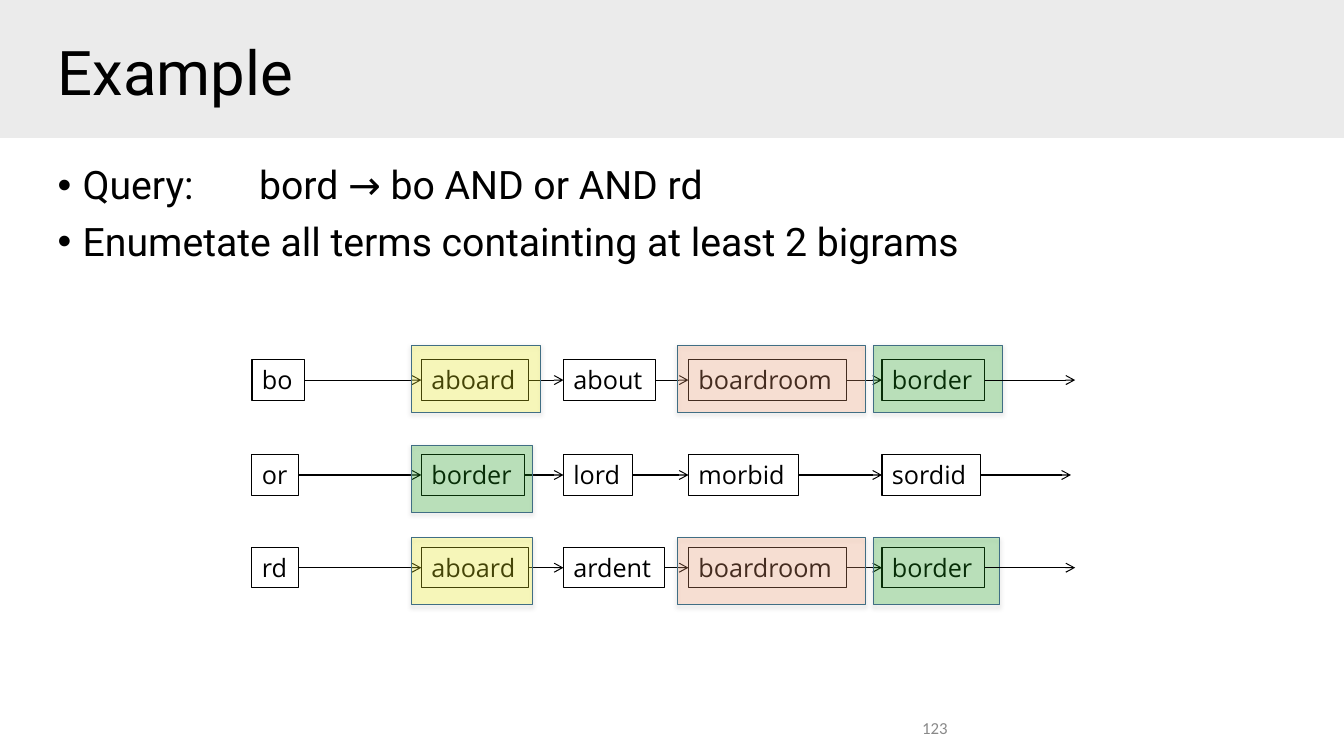
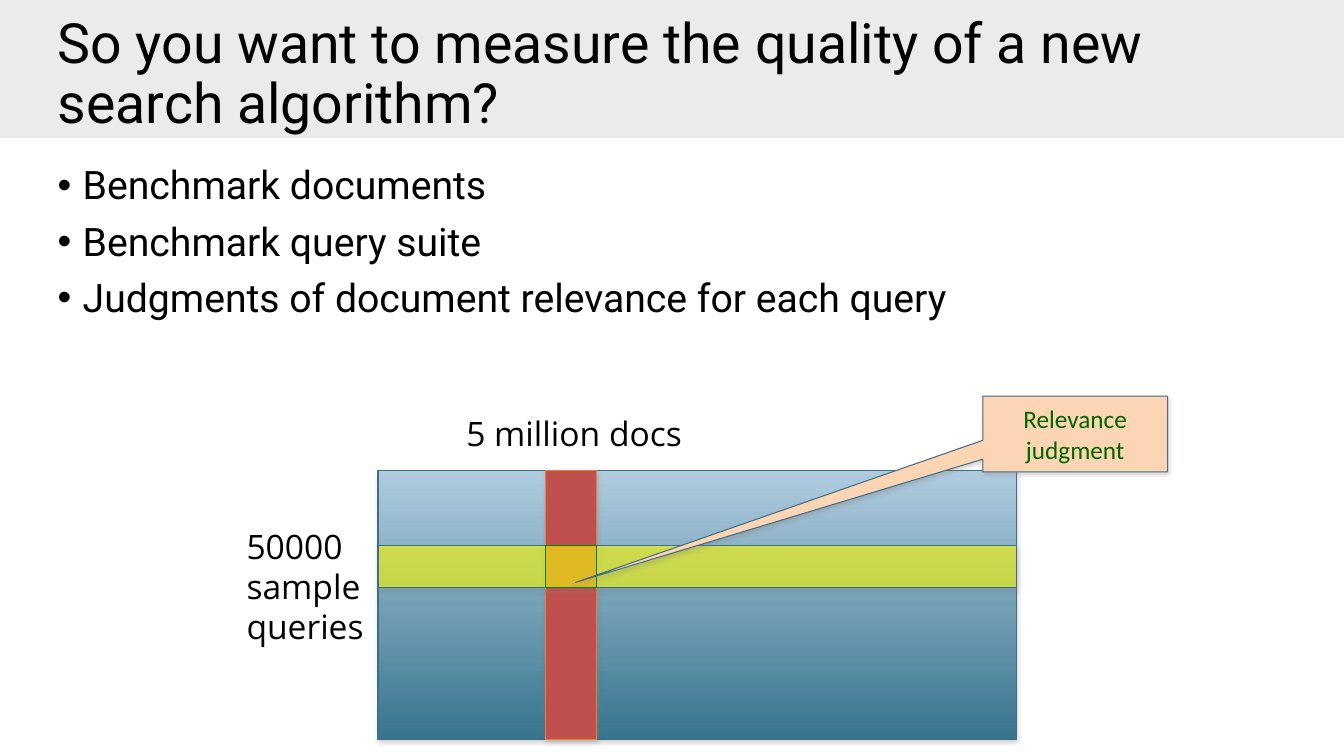
from lxml import etree
from pptx import Presentation
from pptx.dml.color import RGBColor
from pptx.enum.shapes import MSO_CONNECTOR, MSO_SHAPE
from pptx.enum.text import MSO_ANCHOR, MSO_AUTO_SIZE, PP_ALIGN
from pptx.oxml.ns import qn
from pptx.util import Pt

RECTANGLE = MSO_SHAPE.RECTANGLE
CALLOUT = MSO_SHAPE.RECTANGULAR_CALLOUT
STRAIGHT = MSO_CONNECTOR.STRAIGHT
TOP, MIDDLE = MSO_ANCHOR.TOP, MSO_ANCHOR.MIDDLE
LEFT, CENTER, RIGHT = PP_ALIGN.LEFT, PP_ALIGN.CENTER, PP_ALIGN.RIGHT

COLOURS = {
    "black": "000000", "band": "A6A6A6", "number": "898989", "outline": "406E84",
    "shadow": "808080", "yellow": "FFFF00", "salmon": "FF9966", "green": "00A000",
    "sky": "AFCCDF", "sea": "39748F", "red": "C0504D", "orange": "ED7D31",
    "cell": "008000", "peach": "FCD5B5", "judgment": "006600",
}
HEADING, LABEL, PLAIN = "Roboto", "Open Sans", "Calibri"
SLIDE_WIDTH, SLIDE_HEIGHT = 960, 540

EXAMPLE_BULLETS = ["Query:\tbord → bo AND or AND rd",
                   "Enumetate all terms containting at least 2 bigrams"]
QUALITY_BULLETS = ["Benchmark documents", "Benchmark query suite",
                   "Judgments of document relevance for each query"]

COLUMN_LEFTS = [180, 301, 402.5, 491.8, 630]
TERM_WIDTHS = {"bo": 37.5, "or": 33.5, "rd": 33.5, "aboard": 76.5, "about": 65.5,
               "boardroom": 113, "border": 73.5, "lord": 49.5, "morbid": 78.5,
               "sordid": 70.5, "ardent": 72}
TERM_HEIGHT = 29
MARK_HEIGHT = 48
MARK_LEFTS = {1: 294, 3: 484, 4: 624}
POSTINGS = [
    {"top": 257, "terms": ["bo", "aboard", "about", "boardroom", "border"], "end": 768,
     "mark_top": 246.5, "marks": [(1, 92, "yellow"), (3, 134, "salmon"), (4, 92, "green")]},
    {"top": 324.8, "terms": ["or", "border", "lord", "morbid", "sordid"], "end": 765,
     "mark_top": 318, "marks": [(1, 86.5, "green")]},
    {"top": 391, "terms": ["rd", "aboard", "ardent", "boardroom", "border"], "end": 768,
     "mark_top": 384, "marks": [(1, 86.5, "yellow"), (3, 134.5, "salmon"), (4, 90, "green")]},
]

MATRIX = (270, 336, 456, 192)
DOCUMENT_LEFT, DOCUMENT_WIDTH = 390, 36
QUERY_TOP, QUERY_HEIGHT = 390, 30
AXIS_LABELS = [(["5 million docs"], (326, 291.6, 181, 36)),
               (["50000", "sample", "queries"], (169, 372.2, 107, 94))]
CALLOUT_LINES = ["Relevance", "judgment"]
CALLOUT_AREA = (702, 283, 132, 54)
CALLOUT_POINT = (-2.704, 1.963)


def rgb(name):
    return RGBColor.from_string(COLOURS[name])


def points(area):
    return [Pt(length) for length in area]


def add_shadow(shape):
    effects = shape.element.spPr.find(qn("a:effectLst"))
    outer = etree.SubElement(effects, qn("a:outerShdw"), blurRad=str(Pt(3.1)),
                             dist=str(Pt(1.8)), dir="5400000", rotWithShape="0")
    colour = etree.SubElement(outer, qn("a:srgbClr"), val=COLOURS["shadow"])
    etree.SubElement(colour, qn("a:alpha"), val="35000")


def add_box(page, area, fill=None, line=None, opacity=100, kind=RECTANGLE, shadow=False):
    box = page.shapes.add_shape(kind, *points(area))
    box.shadow.inherit = False
    if fill:
        box.fill.solid()
        box.fill.fore_color.rgb = rgb(fill)
        if opacity < 100:
            colour = box.element.spPr.find(qn("a:solidFill")).find(qn("a:srgbClr"))
            etree.SubElement(colour, qn("a:alpha"), val=str(opacity * 1000))
    else:
        box.fill.background()
    if line:
        box.line.color.rgb = rgb(line)
        box.line.width = Pt(0.75)
    else:
        box.line.fill.background()
    if shadow:
        add_shadow(box)
    return box


def write(shape, lines, font, size, colour="black", align=LEFT, anchor=TOP, spacing=None):
    frame = shape.text_frame
    frame.word_wrap = True
    frame.auto_size = MSO_AUTO_SIZE.NONE
    frame.vertical_anchor = anchor
    for index, line in enumerate(lines):
        para = frame.add_paragraph() if index else frame.paragraphs[0]
        para.alignment = align
        if spacing:
            para.line_spacing = spacing
        span = para.add_run()
        span.text = line
        span.font.name = font
        span.font.size = Pt(size)
        span.font.color.rgb = rgb(colour)
    return frame


def add_text(page, area, lines, font, size, **style):
    return write(page.shapes.add_textbox(*points(area)), lines, font, size, **style)


def add_bullets(page, lines):
    frame = add_text(page, (34, 115, 891, 399), lines, HEADING, 28, spacing=0.9)
    for para in frame.paragraphs:
        para.space_before = Pt(10)
        properties = para._p.get_or_add_pPr()
        properties.set("marL", str(Pt(18)))
        properties.set("indent", str(-Pt(18)))
        properties.set("defTabSz", str(Pt(72)))
        etree.SubElement(properties, qn("a:buFont"), typeface="Arial")
        etree.SubElement(properties, qn("a:buChar"), char="•")


def start_slide(deck, title, size, bullets):
    page = deck.slides.add_slide(deck.slide_layouts[5])
    heading = page.shapes.title
    heading.left, heading.top, heading.width, heading.height = points((34, 26, 891, 56))
    write(heading, [title], HEADING, size, anchor=MIDDLE, spacing=0.9)
    band = add_box(page, (0, 0, SLIDE_WIDTH, 98.5), "band", opacity=22)
    page.shapes.element.insert(2, band.element)
    add_bullets(page, bullets)
    return page


def add_arrow(page, source, target=None, end=0):
    middle = source.top + source.height // 2
    arrow = page.shapes.add_connector(STRAIGHT, source.left + source.width, middle,
                                      Pt(end), middle)
    arrow.begin_connect(source, 3)
    if target:
        arrow.end_connect(target, 1)
    arrow.line.color.rgb = rgb("black")
    arrow.line.width = Pt(0.75)
    etree.SubElement(arrow.line._get_or_add_ln(), qn("a:tailEnd"), type="arrow")
    etree.SubElement(arrow.element.spPr, qn("a:effectLst"))


def add_term(page, term, left, top):
    box = add_box(page, (left, top, TERM_WIDTHS[term], TERM_HEIGHT), line="black")
    frame = write(box, [term], LABEL, 18, spacing=Pt(21.5))
    frame.margin_right = frame.margin_bottom = 0
    return box


def add_posting(page, posting):
    boxes = [add_term(page, term, left, posting["top"])
             for term, left in zip(posting["terms"], COLUMN_LEFTS)]
    for source, target in zip(boxes, boxes[1:]):
        add_arrow(page, source, target)
    for column, width, colour in posting["marks"]:
        area = (MARK_LEFTS[column], posting["mark_top"], width, MARK_HEIGHT)
        add_box(page, area, colour, "outline", 24, shadow=True)
    add_arrow(page, boxes[-1], end=posting["end"])


def build_example(deck):
    page = start_slide(deck, "Example", 44, EXAMPLE_BULLETS)
    add_text(page, (516, 510, 168, 19.5), ["123"], PLAIN, 12, colour="number",
             align=RIGHT, anchor=MIDDLE)
    for posting in POSTINGS:
        add_posting(page, posting)


def build_quality(deck):
    page = start_slide(deck, "So you want to measure the quality of a new search algorithm?",
                       39.6, QUALITY_BULLETS)
    left, top, width, height = MATRIX
    matrix = add_box(page, MATRIX, line="outline", shadow=True)
    matrix.fill.gradient()
    matrix.fill.gradient_angle = 270
    for stop, colour in zip(matrix.fill.gradient_stops, ("sky", "sea")):
        stop.color.rgb = rgb(colour)
    add_box(page, (DOCUMENT_LEFT, top, DOCUMENT_WIDTH, height), "red", "orange", shadow=True)
    add_box(page, (left, QUERY_TOP, width, QUERY_HEIGHT), "yellow", "outline", 58, shadow=True)
    add_box(page, (DOCUMENT_LEFT, QUERY_TOP, DOCUMENT_WIDTH, QUERY_HEIGHT), line="cell")
    for lines, area in AXIS_LABELS:
        add_text(page, area, lines, LABEL, 24, spacing=Pt(28.6))
    callout = add_box(page, CALLOUT_AREA, "peach", "outline", kind=CALLOUT, shadow=True)
    for index, value in enumerate(CALLOUT_POINT):
        callout.adjustments[index] = value
    write(callout, CALLOUT_LINES, PLAIN, 18, "judgment", CENTER, MIDDLE)


def main():
    deck = Presentation()
    deck.slide_width, deck.slide_height = Pt(SLIDE_WIDTH), Pt(SLIDE_HEIGHT)
    build_example(deck)
    build_quality(deck)
    deck.save("out.pptx")


if __name__ == "__main__":
    main()
